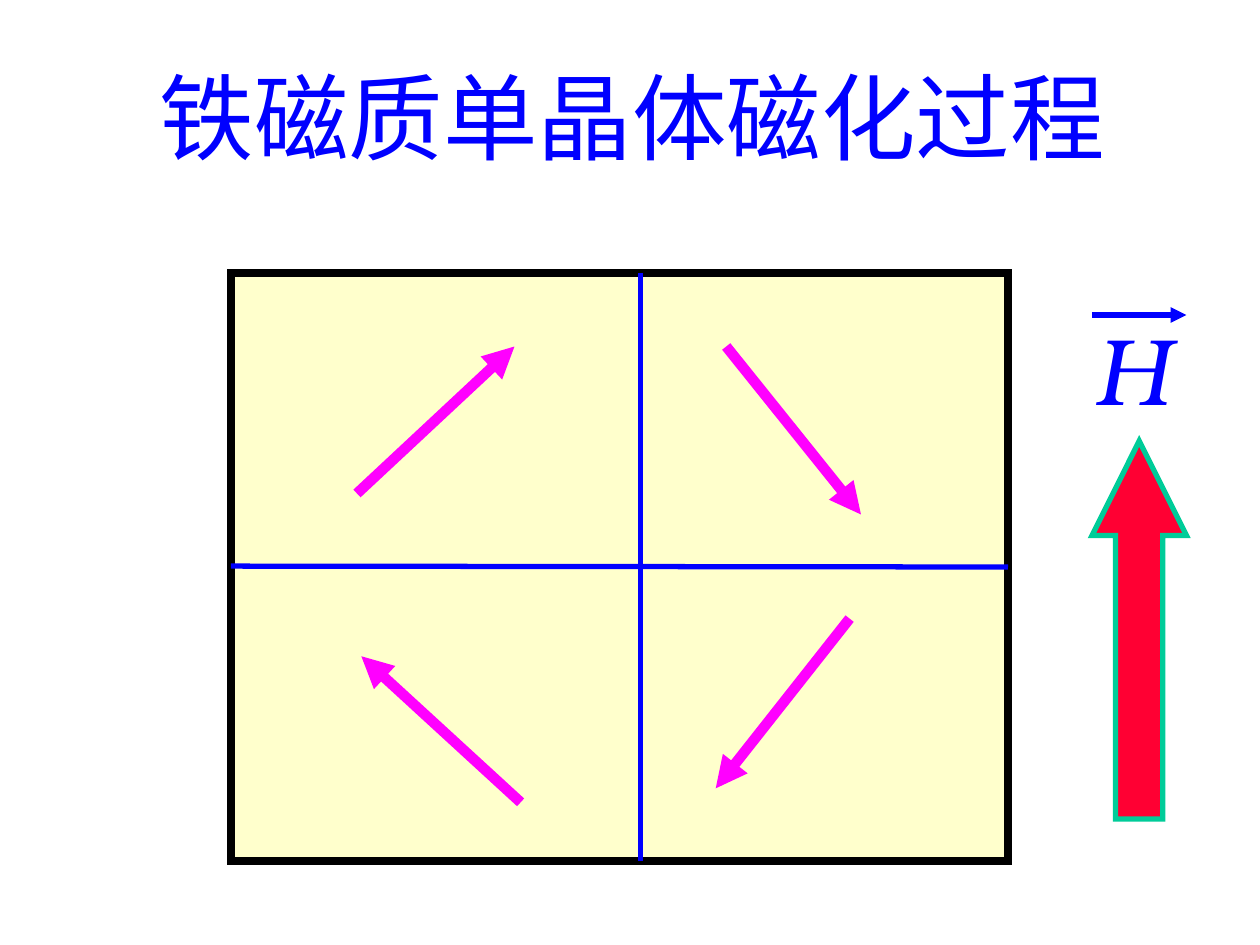
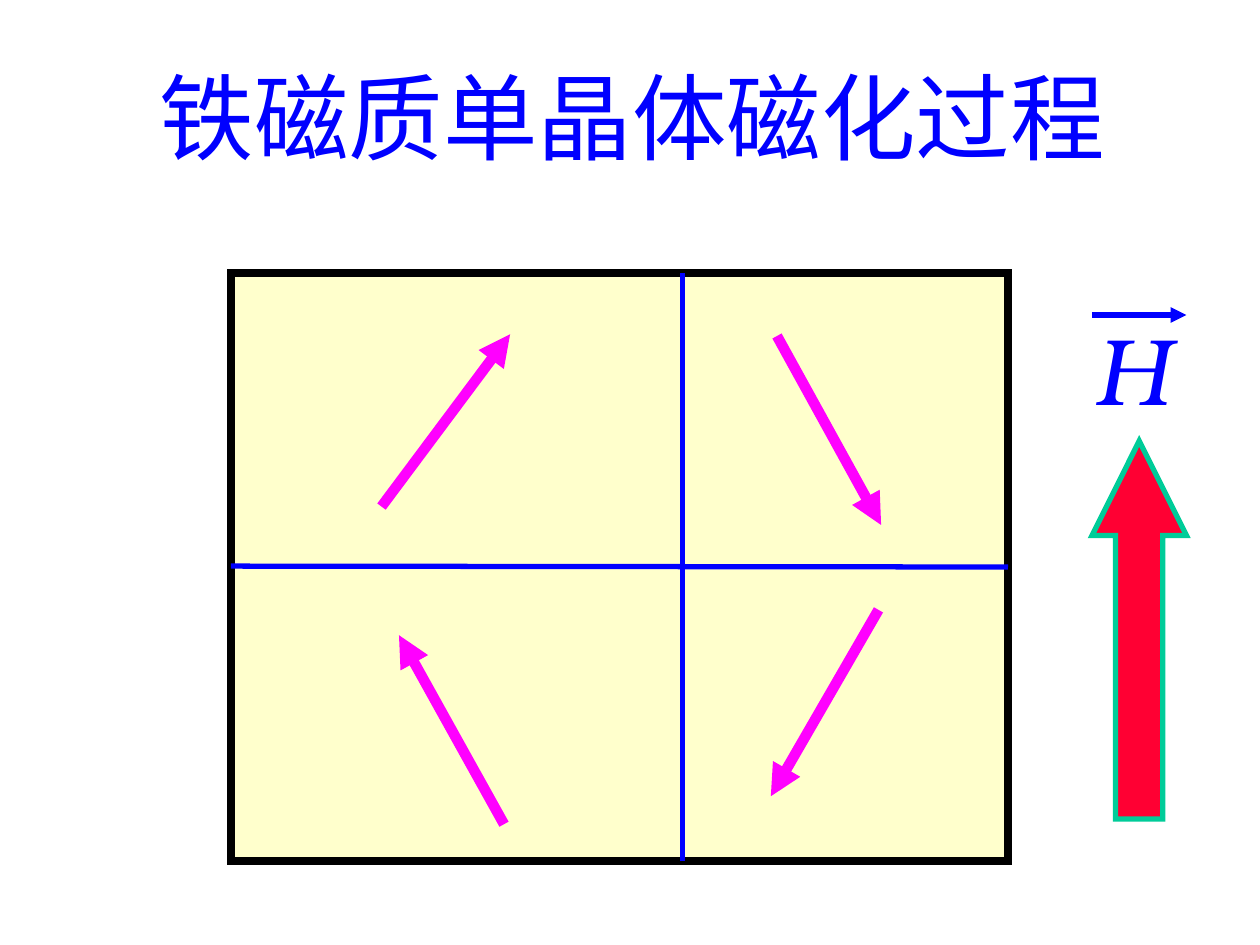
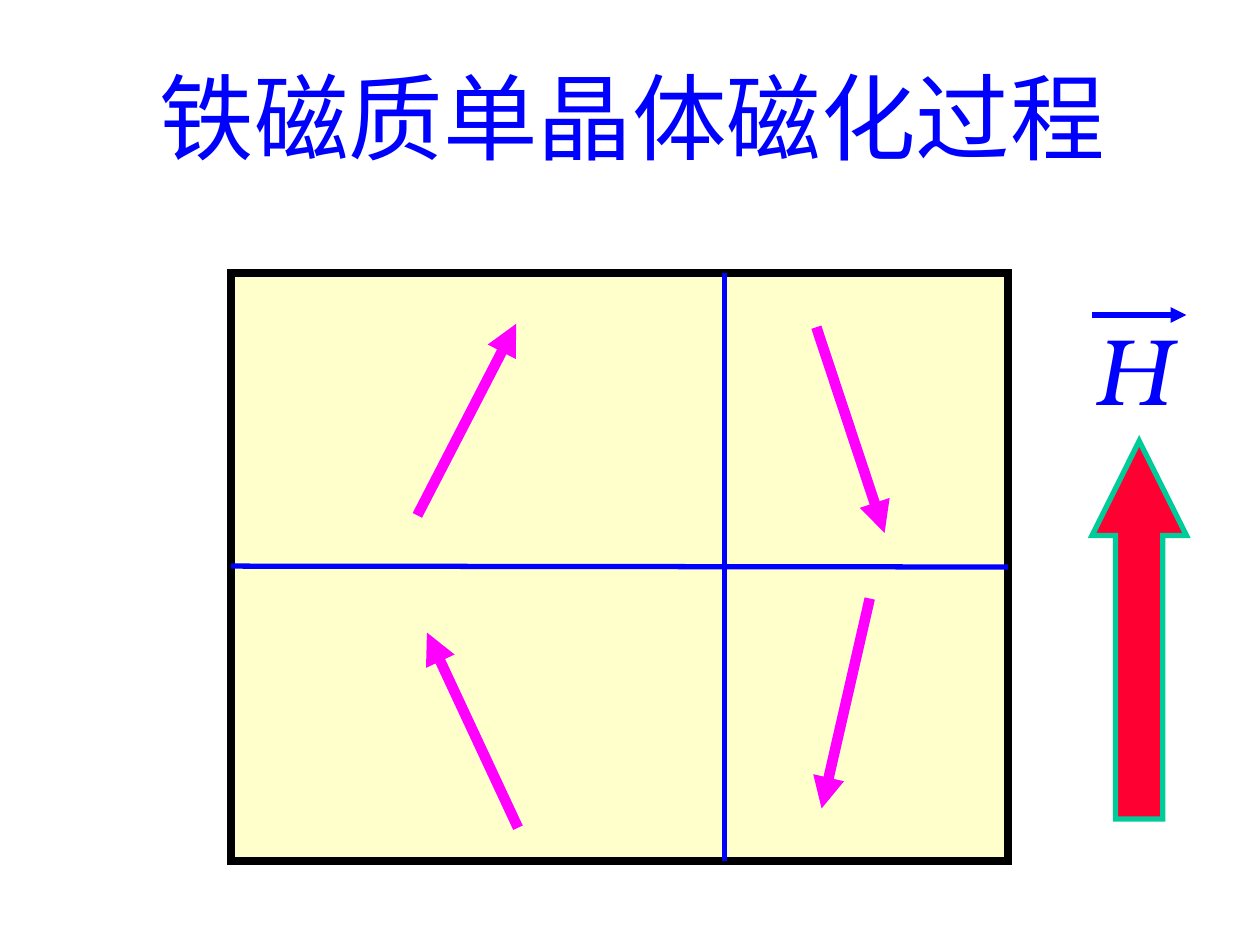
from lxml.etree import SubElement
from pptx import Presentation
from pptx.dml.color import RGBColor
from pptx.enum.shapes import MSO_CONNECTOR, MSO_SHAPE
from pptx.enum.text import MSO_ANCHOR, MSO_AUTO_SIZE, PP_ALIGN
from pptx.oxml.ns import qn
from pptx.util import Pt

COLORS = {
    "blue": "0000FF",
    "crystal": "FFFFCC",
    "border": "000000",
    "moment": "FF00FF",
    "field": "FF0033",
    "field_edge": "00CC99",
}
FONT = "TeX Gyre Bonum"
TITLE = "铁磁质单晶体磁化过程"

LEFT, TOP, WIDTH, HEIGHT = 132, 156, 444, 336
FIRST_WALL, WALL_SHIFT = 366, 24
FIELD_LEFT, FIELD_WIDTH = 624, 54

STAGES = [
    [(204, 282, 294, 198), (415, 198, 492, 294),
     (297.5, 458.5, 206.5, 375), (485.5, 353.5, 409, 450.5)],
    [(218, 289.5, 291.5, 191), (444, 192, 503.5, 300),
     (288, 471, 228, 363), (502, 348.5, 440.5, 455)],
    [(238.5, 294.5, 295, 185), (466.5, 187, 505.5, 304.5),
     (296, 473, 244, 361.5), (497, 342, 469.5, 462)],
]


def color(name):
    return RGBColor.from_string(COLORS[name])


def write(frame, text, size=54, ink="blue", italic=False):
    frame.word_wrap = False
    frame.auto_size = MSO_AUTO_SIZE.NONE
    frame.vertical_anchor = MSO_ANCHOR.TOP
    paragraph = frame.paragraphs[0]
    paragraph.alignment = PP_ALIGN.LEFT
    run = paragraph.add_run()
    run.text = text
    run.font.size = Pt(size)
    run.font.italic = italic
    run.font.color.rgb = color(ink)
    run.font.name = FONT
    SubElement(run._r.get_or_add_rPr(), qn("a:ea"), typeface=FONT)


def add_title(slide):
    title = slide.shapes.title
    title.left, title.top, title.width, title.height = map(Pt, (84, 30, 554.5, 72))
    write(title.text_frame, TITLE)


def add_block(slide, kind, box, fill, edge, weight):
    block = slide.shapes.add_shape(kind, *map(Pt, box))
    block.shadow.inherit = False
    block.fill.solid()
    block.fill.fore_color.rgb = color(fill)
    block.line.color.rgb = color(edge)
    block.line.width = Pt(weight)
    SubElement(block.line._get_or_add_ln(), qn("a:miter"), lim="800000")
    return block


def add_line(slide, ends, ink="blue", weight=3, arrow=False):
    line = slide.shapes.add_connector(MSO_CONNECTOR.STRAIGHT, *map(Pt, ends))
    line.line.color.rgb = color(ink)
    line.line.width = Pt(weight)
    if arrow:
        SubElement(line.line._get_or_add_ln(), qn("a:tailEnd"), type="triangle")
    SubElement(line._element.spPr, qn("a:effectLst"))


def add_crystal(slide, wall, moments):
    add_block(slide, MSO_SHAPE.RECTANGLE, (LEFT, TOP, WIDTH, HEIGHT),
              "crystal", "border", 4.5)
    add_line(slide, (wall, TOP, wall, TOP + HEIGHT))
    add_line(slide, (LEFT, 323.5, LEFT + WIDTH, 324))
    for moment in moments:
        add_line(slide, moment, ink="moment", weight=6, arrow=True)


def add_field(slide):
    field = add_block(slide, MSO_SHAPE.UP_ARROW, (FIELD_LEFT, 252, FIELD_WIDTH, 216),
                      "field", "field_edge", 3)
    field.adjustments[0] = 0.5
    field.adjustments[1] = 1
    symbol = slide.shapes.add_textbox(*map(Pt, (618.5, 174, 57.5, 72)))
    write(symbol.text_frame, "H", italic=True)
    add_line(slide, (FIELD_LEFT, 180, FIELD_LEFT + FIELD_WIDTH, 180), arrow=True)


def main():
    deck = Presentation()
    deck.slide_width, deck.slide_height = Pt(720), Pt(540)
    for stage, moments in enumerate(STAGES):
        slide = deck.slides.add_slide(deck.slide_layouts[5])
        add_title(slide)
        add_crystal(slide, FIRST_WALL + stage * WALL_SHIFT, moments)
        add_field(slide)
    deck.save("out.pptx")


if __name__ == "__main__":
    main()
